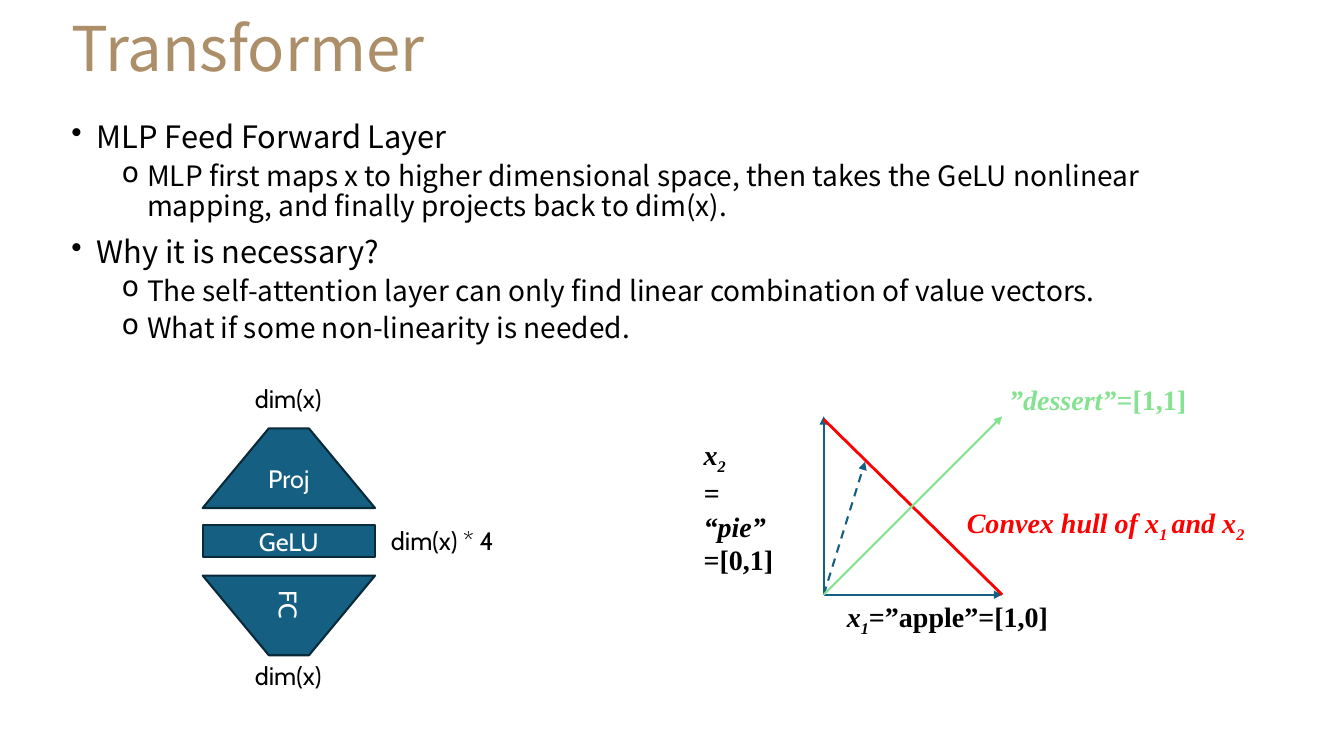
import pptx
import pptx.dml.color
import pptx.enum.dml
import pptx.enum.shapes
import pptx.enum.text
import pptx.oxml.ns
import pptx.util
from lxml import etree

PX = 9144  # one hundredth of an inch
BLACK = pptx.dml.color.RGBColor(0x00, 0x00, 0x00)
WHITE = pptx.dml.color.RGBColor(0xFF, 0xFF, 0xFF)
GOLD = pptx.dml.color.RGBColor(0xAC, 0x8E, 0x68)
BLUE = pptx.dml.color.RGBColor(0x15, 0x60, 0x82)
NAVY = pptx.dml.color.RGBColor(0x09, 0x2A, 0x39)
RED = pptx.dml.color.RGBColor(0xFF, 0x00, 0x00)
GREEN = pptx.dml.color.RGBColor(0x84, 0xE2, 0x91)
SANS, LABEL, SERIF = "Noto Sans CJK SC", "Cabin", "Times New Roman"
LEFT, CENTER = pptx.enum.text.PP_ALIGN.LEFT, pptx.enum.text.PP_ALIGN.CENTER
TOP, MIDDLE = pptx.enum.text.MSO_ANCHOR.TOP, pptx.enum.text.MSO_ANCHOR.MIDDLE
SHAPES = pptx.enum.shapes.MSO_SHAPE


def write(shape, paragraphs, font, size, color, bold=False, align=LEFT,
          anchor=TOP, wrap=True, spacing=None):
    """Fill a shape; a paragraph is a list of (text, marks), i = italic, _ = subscript."""
    frame = shape.text_frame
    frame.word_wrap = wrap
    frame.auto_size = pptx.enum.text.MSO_AUTO_SIZE.NONE
    frame.vertical_anchor = anchor
    for index, spans in enumerate(paragraphs):
        para = frame.add_paragraph() if index else frame.paragraphs[0]
        para.alignment = align
        para.line_spacing = spacing
        for text, marks in spans:
            span = para.add_run()
            span.text = text
            span.font.name = font
            span.font.size = pptx.util.Pt(size)
            span.font.color.rgb = color
            span.font.bold = bold
            span.font.italic = "i" in marks
            if "_" in marks:
                span._r.get_or_add_rPr().set("baseline", "-25000")


deck = pptx.Presentation()
deck.slide_width, deck.slide_height = 1333 * PX, 750 * PX
page = deck.slides.add_slide(deck.slide_layouts[5])

title = page.shapes.title
title.left, title.top, title.width, title.height = 61 * PX, 3 * PX, 1142 * PX, 96 * PX
write(title, [[("Transformer", "")]], SANS, 44, GOLD, anchor=MIDDLE, spacing=0.9)

# Bulleted text
bullets = [
    (0, "MLP Feed Forward Layer"),
    (1, "MLP first maps x to higher dimensional space, then takes the GeLU "
        "nonlinear mapping, and finally projects back to dim(x)."),
    (0, "Why it is necessary?"),
    (1, "The self-attention layer can only find linear combination of value vectors."),
    (1, "What if some non-linearity is needed."),
]
body = page.shapes.add_textbox(61 * PX, 116 * PX, 1172 * PX, 255 * PX)
write(body, [[(text, "")] for level, text in bullets], SANS, 20, BLACK, spacing=0.9)
for index, (level, text) in enumerate(bullets):
    para = body.text_frame.paragraphs[index]
    para.level = level
    if index:
        para.space_before = pptx.util.Pt(5 if level else 10)
    properties = para._p.get_or_add_pPr()
    properties.set("marL", str((75 if level else 25) * PX))
    properties.set("indent", str(-25 * PX))
    bullet = etree.SubElement(properties, pptx.oxml.ns.qn("a:buChar"))
    bullet.set("char", "o" if level else "•")
    if not level:
        para.runs[0].font.size = pptx.util.Pt(22)

# Feed-forward stack
for kind, top, height, rotation, name in [
    (SHAPES.TRAPEZOID, 425, 79, 0, "Proj"),
    (SHAPES.TRAPEZOID, 571, 79, 180, "FC"),
    (SHAPES.RECTANGLE, 521, 32, 0, "GeLU"),
]:
    block = page.shapes.add_shape(kind, 201 * PX, top * PX, 171 * PX, height * PX)
    block.shadow.inherit = False
    block.rotation = rotation
    block.fill.solid()
    block.fill.fore_color.rgb = BLUE
    block.line.color.rgb = NAVY
    block.line.width = pptx.util.Pt(1.5)
    if kind == SHAPES.TRAPEZOID:
        block.adjustments[0] = 0.83
    write(block, [[(name, "")]], LABEL, 18, WHITE, align=CENTER, anchor=MIDDLE)
    if rotation:
        block.text_frame._txBody.bodyPr.set("vert", "vert270")

for left, top, width, text in [
    (243, 650, 88, "dim(x)"),
    (243, 375, 88, "dim(x)"),
    (378, 516, 123, "dim(x) * 4"),
]:
    box = page.shapes.add_textbox(left * PX, top * PX, width * PX, 40 * PX)
    write(box, [[(text, "")]], LABEL, 18, BLACK, wrap=False)

# Vector diagram
origin = (817, 590)
for start, end, color, width, dashed, arrow in [
    (origin, (994, 590), BLUE, 1.5, False, True),
    (origin, (817, 413), BLUE, 1.5, False, True),
    ((817, 416), (994, 590), RED, 2, False, False),
    (origin, (858, 458), BLUE, 1.5, True, True),
    (origin, (994, 413), GREEN, 1.5, False, True),
]:
    vector = page.shapes.add_connector(
        pptx.enum.shapes.MSO_CONNECTOR.STRAIGHT, *[value * PX for value in start + end])
    vector.line.color.rgb = color
    vector.line.width = pptx.util.Pt(width)
    if dashed:
        vector.line.dash_style = pptx.enum.dml.MSO_LINE.DASH
    if arrow:
        head = etree.SubElement(vector.line._get_or_add_ln(), pptx.oxml.ns.qn("a:tailEnd"))
        head.set("type", "triangle")
    etree.SubElement(vector._element.spPr, pptx.oxml.ns.qn("a:effectLst"))

for left, top, width, height, color, paragraphs in [
    (830, 590, 222, 44, BLACK, [[("x", "i"), ("1", "i_"), ("=”apple”=[1,0]", "")]]),
    (688, 429, 90, 145, BLACK,
     [[("x", "i"), ("2", "i_")], [("=", "i")], [("“pie”", "i")], [("=[0,1]", "")]]),
    (949, 497, 308, 44, RED,
     [[("Convex hull of x", "i"), ("1 ", "i_"), ("and x", "i"), ("2", "i_")]]),
    (991, 375, 197, 44, GREEN, [[("”dessert”", "i"), ("=[1,1]", "")]]),
]:
    box = page.shapes.add_textbox(left * PX, top * PX, width * PX, height * PX)
    write(box, paragraphs, SERIF, 20, color, bold=True, wrap=False)

deck.save("out.pptx")
